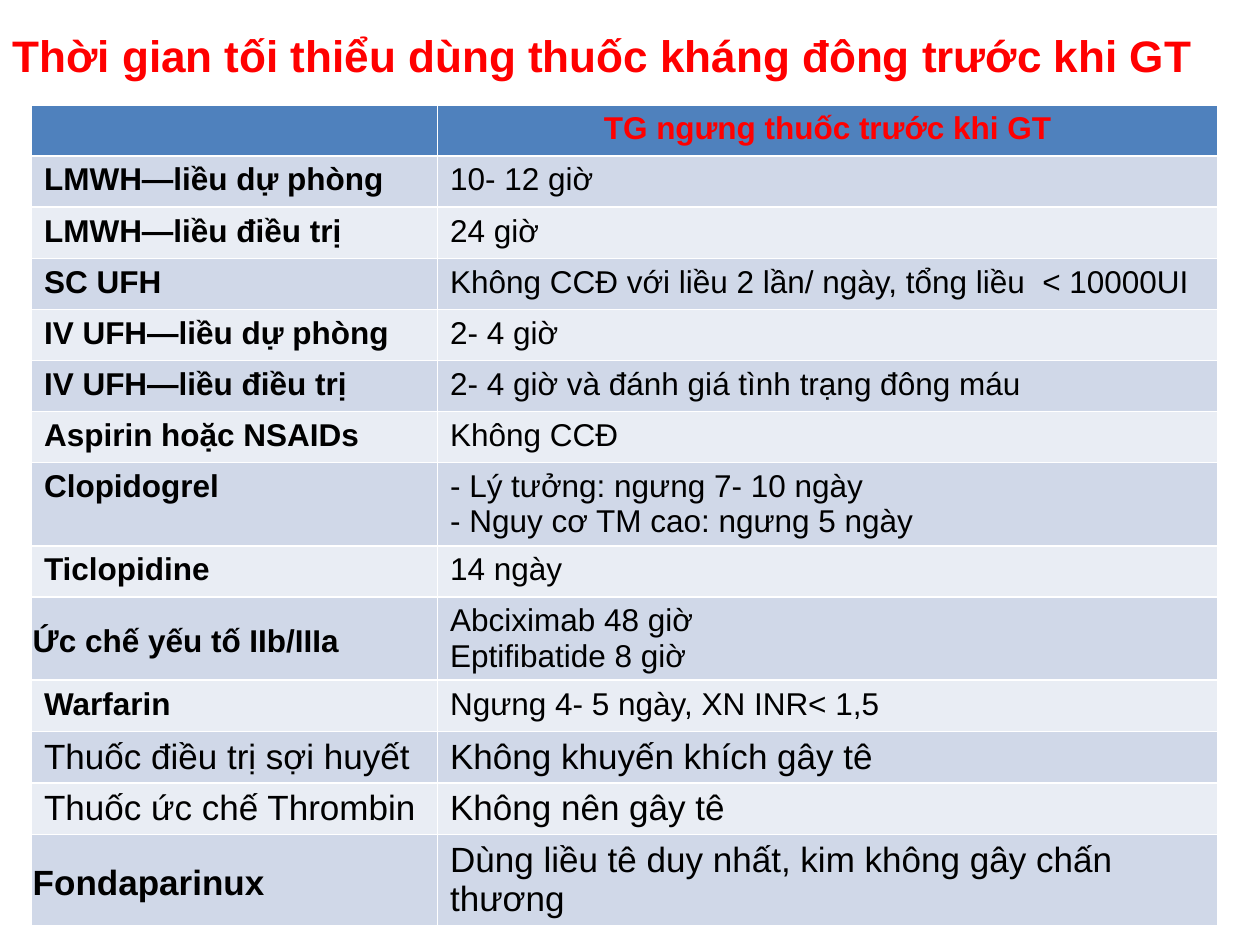
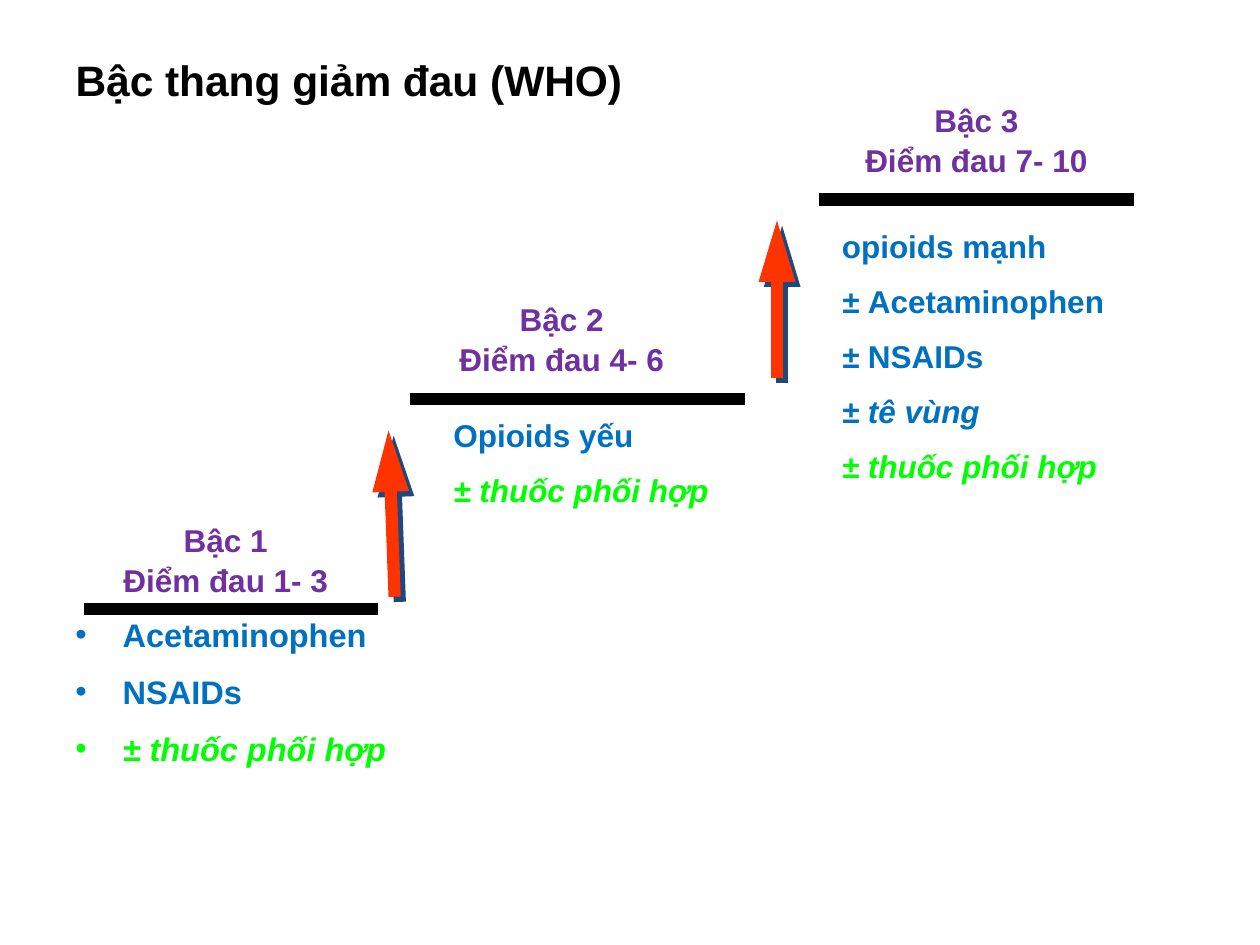
import pptx
import pptx.dml.color
import pptx.enum.shapes
import pptx.enum.text
import pptx.oxml
import pptx.oxml.ns
import pptx.util

Pt = pptx.util.Pt
ANCHOR = pptx.enum.text.MSO_ANCHOR
ALIGN = pptx.enum.text.PP_ALIGN

FONT = "Arial"
BLACK, RED = "000000", "FF0000"
HEADER_FILL, BAND_FILLS = "4F81BD", ("D0D8E8", "E9EDF4")
LABEL_PURPLE, DRUG_BLUE, ADJUVANT_GREEN = "7030A0", "0070C0", "00FF00"
ARROW_RED, ARROW_SHADOW = "FF3300", "1F497D"
ADJUVANT = "± thuốc phối hợp"
ITALIC_DRUGS = ("± tê vùng", ADJUVANT)

# Drug, stopping time, text size, bold drug name, compact cell
STOP_TIMES = [
    ("LMWH—liều dự phòng", "10- 12 giờ", 18, True, False),
    ("LMWH—liều điều trị", "24 giờ", 18, True, False),
    ("SC UFH", "Không CCĐ với liều 2 lần/ ngày, tổng liều  < 10000UI", 18, True, False),
    ("IV UFH—liều dự phòng", "2- 4 giờ", 18, True, False),
    ("IV UFH—liều điều trị", "2- 4 giờ và đánh giá tình trạng đông máu", 18, True, False),
    ("Aspirin hoặc NSAIDs", "Không CCĐ", 18, True, False),
    ("Clopidogrel", "- Lý tưởng: ngưng 7- 10 ngày\n- Nguy cơ TM cao: ngưng 5 ngày", 18, True, False),
    ("Ticlopidine", "14 ngày", 18, True, False),
    ("Ức chế yếu tố IIb/IIIa", "Abciximab 48 giờ\nEptifibatide 8 giờ", 18, True, True),
    ("Warfarin", "Ngưng 4- 5 ngày, XN INR< 1,5", 18, True, False),
    ("Thuốc điều trị sợi huyết", "Không khuyến khích gây tê", 20, False, False),
    ("Thuốc ức chế Thrombin", "Không nên gây tê", 20, False, False),
    ("Fondaparinux", "Dùng liều tê duy nhất, kim không gây chấn thương", 20, True, True),
]

# Label and its box, ends of the tread, drugs and their box, text size, gap, bullets
STEPS = [
    ("Bậc 1\nĐiểm đau 1- 3", (48, 294, 162, 51), (48, 348, 216, 348),
     ["Acetaminophen", "NSAIDs", ADJUVANT],
     (36, 348, 228, 102), 18.6, 10.3, True),
    ("Bậc 2\nĐiểm đau 4- 6", (210, 168, 222, 51), (234, 228, 426, 228),
     ["Opioids yếu", ADJUVANT],
     (252, 234, 174, 62), 18, 9.9, False),
    ("Bậc 3\nĐiểm đau 7- 10", (468, 54, 180, 51), (468, 114, 648, 114),
     ["opioids mạnh", "± Acetaminophen", "± NSAIDs", "± tê vùng", ADJUVANT],
     (474, 126, 180, 160), 18, 9.9, False),
]
STEP_ARROWS = [(225.5, 341, 222, 246), (444, 216, 444, 126)]


def rgb(color):
    return pptx.dml.color.RGBColor.from_string(color)


def points(values):
    return [Pt(value) for value in values]


def style_font(font, size, color, bold=False, italic=False):
    font.name, font.size = FONT, Pt(size)
    font.bold, font.italic = bold, italic
    font.color.rgb = rgb(color)


def style_runs(text_frame, size, color, bold):
    for paragraph in text_frame.paragraphs:
        for run in paragraph.runs:
            style_font(run.font, size, color, bold)


def add_titled_slide(presentation, text, box, size, color, anchor, top_inset=3.6):
    slide = presentation.slides.add_slide(presentation.slide_layouts[5])
    title = slide.shapes.title
    title.left, title.top, title.width, title.height = points(box)
    text_frame = title.text_frame
    text_frame.text = text
    text_frame.auto_size = pptx.enum.text.MSO_AUTO_SIZE.NONE
    text_frame.vertical_anchor = anchor
    text_frame.margin_top = Pt(top_inset)
    text_frame.paragraphs[0].alignment = ALIGN.LEFT
    style_runs(text_frame, size, color, True)
    return slide


def fill_cell(cell, text, fill, size, color=BLACK, bold=False):
    cell.fill.solid()
    cell.fill.fore_color.rgb = rgb(fill)
    cell.text_frame.text = text
    style_runs(cell.text_frame, size, color, bold)


def compact_cell(cell):
    cell.vertical_anchor = ANCHOR.MIDDLE
    cell.margin_left = cell.margin_right = Pt(0.72)
    cell.margin_top = cell.margin_bottom = Pt(0.72)
    cell.text_frame.paragraphs[0].line_spacing = 1.15


def add_stop_table(slide):
    row_count, row_height, widths = len(STOP_TIMES) + 1, 29.2, (232, 446)
    # The default table style supplies the white rules between cells
    table = slide.shapes.add_table(
        row_count, 2, *points((18, 60, sum(widths), row_count * row_height))).table
    for column, width in zip(table.columns, widths):
        column.width = Pt(width)
    for row in table.rows:
        row.height = Pt(row_height)

    fill_cell(table.cell(0, 0), "", HEADER_FILL, 18)
    heading = table.cell(0, 1)
    fill_cell(heading, "TG ngưng thuốc trước khi GT", HEADER_FILL, 18, RED, True)
    heading.text_frame.paragraphs[0].alignment = ALIGN.CENTER

    for index, (drug, stop_time, size, bold, compact) in enumerate(STOP_TIMES):
        fill = BAND_FILLS[index % 2]
        drug_cell = table.cell(index + 1, 0)
        fill_cell(drug_cell, drug, fill, size, bold=bold)
        if compact:
            compact_cell(drug_cell)
        fill_cell(table.cell(index + 1, 1), stop_time, fill, size)


def add_text_box(slide, box, lines, gap):
    text_frame = slide.shapes.add_textbox(*points(box)).text_frame
    text_frame.word_wrap = True
    text_frame.text = "\n".join(lines)
    for paragraph in text_frame.paragraphs[1:]:
        paragraph.space_before = Pt(gap)
    return text_frame


def add_label(slide, text, box):
    text_frame = add_text_box(slide, box, text.split("\n"), 1.2)
    for paragraph in text_frame.paragraphs:
        paragraph.alignment = ALIGN.CENTER
    style_runs(text_frame, 18, LABEL_PURPLE, True)


def add_bullet(paragraph):
    properties = paragraph._p.get_or_add_pPr()
    properties.set("marL", str(Pt(27)))
    properties.set("indent", str(-Pt(27)))
    for tag, name, value in (("buFont", "typeface", FONT), ("buChar", "char", "•")):
        element = pptx.oxml.parse_xml(
            f'<a:{tag} {pptx.oxml.ns.nsdecls("a")} {name}="{value}"/>')
        properties.append(element)


def add_drugs(slide, drugs, box, size, gap, bulleted):
    text_frame = add_text_box(slide, box, drugs, gap)
    for drug, paragraph in zip(drugs, text_frame.paragraphs):
        if bulleted:
            add_bullet(paragraph)
        color = ADJUVANT_GREEN if drug == ADJUVANT else DRUG_BLUE
        italic = drug in ITALIC_DRUGS
        name_run = paragraph.runs[0]
        # The sign stays italic before an upright drug name
        if drug.startswith("± ") and not italic:
            name_run.text = "± "
            style_font(name_run.font, size, color, True, True)
            name_run = paragraph.add_run()
            name_run.text = drug[2:]
        style_font(name_run.font, size, color, True, italic)


def add_line(slide, ends, color, effect=""):
    line = slide.shapes.add_connector(
        pptx.enum.shapes.MSO_CONNECTOR.STRAIGHT, *points(ends))
    line.line.width = Pt(7)
    line.line.color.rgb = rgb(color)
    line._element.spPr.append(pptx.oxml.parse_xml(
        f'<a:effectLst {pptx.oxml.ns.nsdecls("a")}>{effect}</a:effectLst>'))
    return line


def add_step_arrow(slide, ends):
    shadow = (f'<a:outerShdw dist="{Pt(4.2)}" dir="2700000" algn="ctr" rotWithShape="0">'
              f'<a:srgbClr val="{ARROW_SHADOW}"/></a:outerShdw>')
    arrow = add_line(slide, ends, ARROW_RED, shadow)
    arrow.line._get_or_add_ln().append(pptx.oxml.parse_xml(
        f'<a:tailEnd {pptx.oxml.ns.nsdecls("a")} type="triangle" w="med" len="lg"/>'))


def main():
    presentation = pptx.Presentation()
    presentation.slide_width, presentation.slide_height = points((720, 540))

    # Stopping times of anticoagulants
    slide = add_titled_slide(
        presentation, "Thời gian tối thiểu dùng thuốc kháng đông trước khi GT",
        (0, 0, 702, 63), 25.2, RED, ANCHOR.MIDDLE)
    add_stop_table(slide)

    # Pain relief ladder
    slide = add_titled_slide(
        presentation, "Bậc thang giảm đau (WHO)",
        (36, 21.6, 648, 90), 24.3, BLACK, ANCHOR.TOP, 9.5)
    for label, label_box, tread, drugs, drug_box, size, gap, bulleted in STEPS:
        add_drugs(slide, drugs, drug_box, size, gap, bulleted)
        add_line(slide, tread, BLACK)
        add_label(slide, label, label_box)
    for ends in STEP_ARROWS:
        add_step_arrow(slide, ends)

    presentation.save("out.pptx")


if __name__ == "__main__":
    main()
